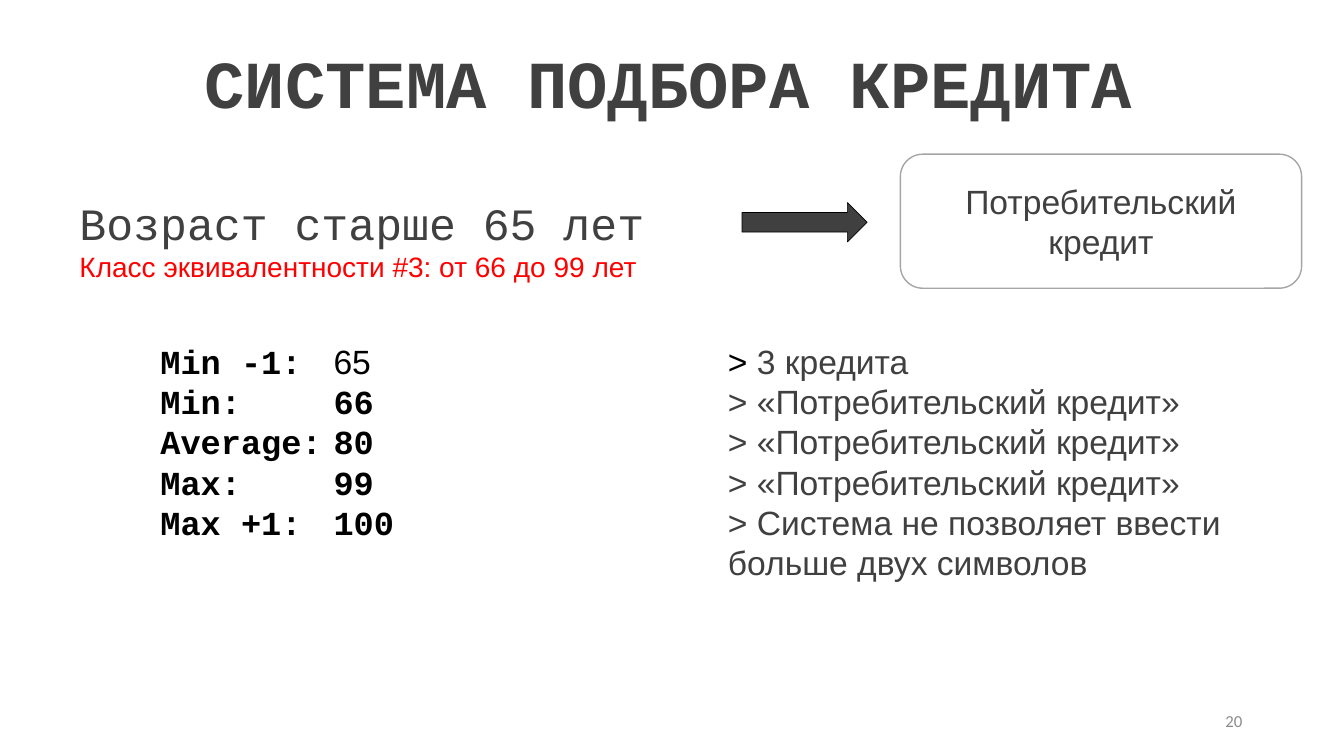
from lxml import etree
from pptx import Presentation, util as u
from pptx.dml.color import RGBColor
from pptx.enum import shapes, text

GREY = "404040"
BLACK = "000000"
MONO = "Courier New"


def rgb(code):
    return RGBColor.from_string(code)


class CreditSlide:
    """Holds the slide and its style, and draws each kind of element."""

    def __init__(self, deck):
        self.slide = deck.slides.add_slide(deck.slide_layouts[3])
        self.title, self.left_body, self.right_body = self.slide.placeholders

    def fill_text(self, shape, lines, size, font="Arial", color=GREY, bold=False,
                  align=text.PP_ALIGN.LEFT, anchor=text.MSO_ANCHOR.TOP, wrap=True, pitch=None):
        frame = shape.text_frame
        frame.text = "\n".join(lines)
        frame.word_wrap = wrap
        frame.auto_size = text.MSO_AUTO_SIZE.NONE
        frame.vertical_anchor = anchor
        for paragraph in frame.paragraphs:
            if shape.is_placeholder:
                properties = paragraph._p.get_or_add_pPr()
                properties.set("marL", "0")
                properties.set("indent", "0")
                etree.SubElement(properties, "{http://schemas.openxmlformats.org/drawingml/2006/main}buNone")
            paragraph.alignment = align
            paragraph.space_before = u.Pt(0)
            if pitch:
                paragraph.line_spacing = u.Pt(pitch)
            self.style(paragraph.font, size, font, color, bold)
        return frame.paragraphs

    def style(self, target, size, font, color, bold):
        target.size = u.Pt(size)
        target.name = font
        target.bold = bold
        target.color.rgb = rgb(color)

    def placeholder(self, holder, box, lines, size, **look):
        holder.left, holder.top, holder.width, holder.height = map(u.Inches, box)
        return self.fill_text(holder, lines, size, **look)

    def text_box(self, box, lines, size, **look):
        return self.fill_text(self.slide.shapes.add_textbox(*map(u.Inches, box)), lines, size, **look)

    def shape(self, kind, box, fill, line, width):
        figure = self.slide.shapes.add_shape(kind, *map(u.Inches, box))
        figure.shadow.inherit = False
        figure.fill.solid()
        figure.fill.fore_color.rgb = rgb(fill)
        figure.line.color.rgb = rgb(line)
        figure.line.width = u.Pt(width)
        return figure


def main():
    deck = Presentation()
    deck.slide_width, deck.slide_height = u.Inches(13.33), u.Inches(7.5)
    page = CreditSlide(deck)

    page.placeholder(page.title, (1.93, 0.36, 9.48, 0.91), ["СИСТЕМА ПОДБОРА КРЕДИТА"], 48,
                     font=MONO, bold=True, wrap=False)
    page.text_box((0.69, 1.89, 5.87, 0.64), ["Возраст старше 65 лет"], 32, font=MONO, wrap=False)
    page.text_box((0.69, 2.43, 5.76, 0.44), ["Класс эквивалентности #3: от 66 до 99 лет"], 20,
                  color="FF0000", wrap=False)
    page.shape(shapes.MSO_SHAPE.RIGHT_ARROW, (7.36, 2.01, 1.24, 0.39), GREY, BLACK, 0.5)
    offer = page.shape(shapes.MSO_SHAPE.ROUNDED_RECTANGLE, (8.93, 1.53, 3.98, 1.33),
                       "FFFFFF", "A5A5A5", 1)
    page.fill_text(offer, ["Потребительский кредит"], 24, align=text.PP_ALIGN.CENTER,
                   anchor=text.MSO_ANCHOR.MIDDLE, pitch=28.8)

    page.placeholder(page.left_body, (1.49, 3.33, 1.96, 2.12),
                     ["Min -1:", "Min:", "Average:", "Max:", "Max +1:"], 24,
                     font=MONO, color=BLACK, bold=True, pitch=28.8)
    ages = page.text_box((3.21, 3.33, 3.91, 2.12), ["65", "66", "80", "99", "100"], 24,
                         font=MONO, color=BLACK, bold=True, pitch=28.8)
    page.style(ages[0].font, 24, "Arial", BLACK, False)

    consumer_loan = "> «Потребительский кредит»"
    results = page.placeholder(page.right_body, (7.12, 3.33, 5.78, 2.93),
                               ["> ", *[consumer_loan] * 3,
                                "> Система не позволяет ввести больше двух символов"],
                               24, pitch=28.8)
    results[0].runs[0].font.color.rgb = rgb(BLACK)
    results[0].add_run().text = "3 кредита"

    page.text_box((9.42, 6.95, 3, 0.4), ["20"], 12, font="Calibri", color="8C8C8C",
                  align=text.PP_ALIGN.RIGHT, anchor=text.MSO_ANCHOR.MIDDLE)
    deck.save("out.pptx")


if __name__ == "__main__":
    main()
